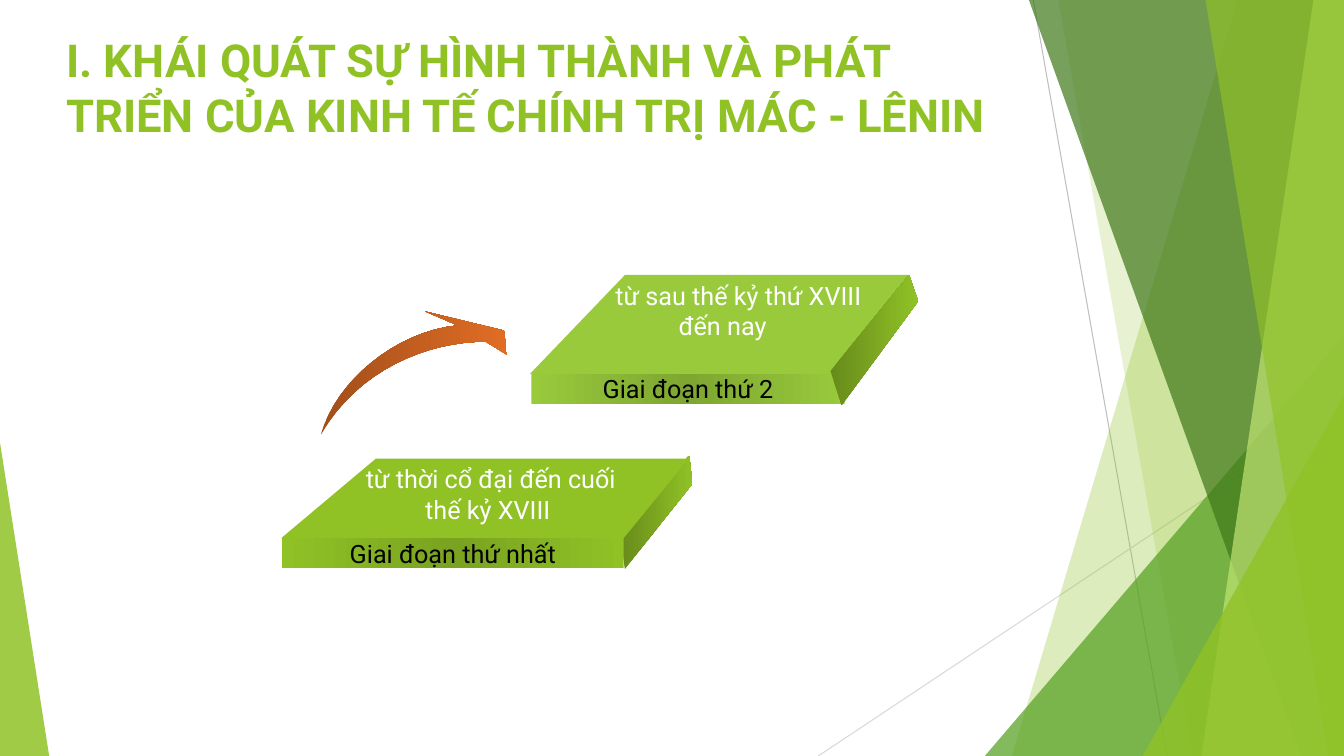
from lxml import etree
from pptx import Presentation
from pptx import util as u
from pptx.dml.color import RGBColor
from pptx.enum import shapes, text
from pptx.oxml.ns import qn

WIDTH, HEIGHT = 33.87, 19.05  # cm

GREEN = RGBColor(0x90, 0xC2, 0x26)
LIGHT_GREEN = RGBColor(0x99, 0xCA, 0x3C)
PALE_GREEN = RGBColor(0xC0, 0xE4, 0x74)
MID_GREEN = RGBColor(0x54, 0xA0, 0x21)
DARK_GREEN = RGBColor(0x3F, 0x78, 0x19)
OLIVE = RGBColor(0x67, 0x8B, 0x1B)
FRONT_SHADE_1 = RGBColor(0x79, 0xA3, 0x20)
FRONT_SHADE_2 = RGBColor(0x7E, 0xA6, 0x31)
BROWN = RGBColor(0xA1, 0x4E, 0x1A)
ORANGE = RGBColor(0xE1, 0x6D, 0x25)
GRAY = RGBColor(0xBF, 0xBF, 0xBF)
LIGHT_GRAY = RGBColor(0xD9, 0xD9, 0xD9)
WHITE = RGBColor(0xFF, 0xFF, 0xFF)
BLACK = RGBColor(0, 0, 0)

TOP = text.MSO_ANCHOR.TOP
MIDDLE = text.MSO_ANCHOR.MIDDLE
CENTER = text.PP_ALIGN.CENTER


def bezier(a, b, c, d, steps=16):
    """Points along a cubic curve."""
    points = []
    for i in range(steps + 1):
        t = i / steps
        s = 1 - t
        weights = (s ** 3, 3 * s * s * t, 3 * s * t * t, t ** 3)
        points.append(tuple(sum(w * q[k] for w, q in zip(weights, (a, b, c, d)))
                            for k in (0, 1)))
    return points


class Deck:
    FONT = "Roboto"

    def __init__(self):
        self.prs = Presentation()
        self.prs.slide_width, self.prs.slide_height = u.Cm(WIDTH), u.Cm(HEIGHT)
        self.s = self.prs.slides.add_slide(self.prs.slide_layouts[6])

    def paint(self, sp, colors, alpha=100):
        """Solid fill for one colour, even left-to-right gradient for several."""
        sp.shadow.inherit = False
        sp.line.fill.background()
        if len(colors) == 1:
            sp.fill.solid()
            sp.fill.fore_color.rgb = colors[0]
            if alpha < 100:
                clr = sp._element.spPr.find(".//" + qn("a:srgbClr"))
                etree.SubElement(clr, qn("a:alpha"), val=str(alpha * 1000))
            return sp
        sp.fill.gradient()
        sp.fill.gradient_angle = 0
        stops = sp._element.spPr.find(".//" + qn("a:gsLst"))
        for gs in list(stops):
            stops.remove(gs)
        for i, color in enumerate(colors):
            pos = str(100000 * i // (len(colors) - 1))
            gs = etree.SubElement(stops, qn("a:gs"), pos=pos)
            etree.SubElement(gs, qn("a:srgbClr"), val=str(color))
        return sp

    def polygon(self, points, *colors, alpha=100):
        pts = [(u.Cm(x), u.Cm(y)) for x, y in points]
        builder = self.s.shapes.build_freeform(*pts[0])
        builder.add_line_segments(pts[1:], close=True)
        return self.paint(builder.convert_to_shape(), colors, alpha)

    def shape(self, kind, box, *colors, alpha=100):
        sp = self.s.shapes.add_shape(kind, *(u.Cm(v) for v in box))
        return self.paint(sp, colors, alpha)

    def triangle(self, x, y, width, apex, color, alpha):
        sp = self.shape(shapes.MSO_SHAPE.ISOSCELES_TRIANGLE,
                        (x, y, width, HEIGHT - y), color, alpha=alpha)
        sp.adjustments[0] = apex

    def line(self, start, end, color):
        ends = (u.Cm(v) for v in (*start, *end))
        sp = self.s.shapes.add_connector(shapes.MSO_CONNECTOR.STRAIGHT, *ends)
        sp.line.color.rgb = color
        sp.line.width = u.Pt(0.75)
        etree.SubElement(sp._element.spPr, qn("a:effectLst"))

    def add_text(self, sp, lines, size, color, align=None, anchor=TOP, wrap=True, bold=False):
        """Each line is (text, left indent in cm)."""
        tf = sp.text_frame
        tf.word_wrap, tf.vertical_anchor = wrap, anchor
        style = {"name": self.FONT, "size": u.Pt(size), "bold": bold}
        for i, (words, indent) in enumerate(lines):
            p = tf.add_paragraph() if i else tf.paragraphs[0]
            p.alignment = align
            if indent:
                p._p.get_or_add_pPr().set("marL", str(u.Cm(indent)))
            r = p.add_run()
            r.text = words
            for name, value in style.items():
                setattr(r.font, name, value)
            r.font.color.rgb = color

    def title(self, box, words):
        sp = self.s.shapes.add_textbox(*(u.Cm(v) for v in box))
        self.add_text(sp, [(words, 0)], 32.4, GREEN, bold=True)

    def top_face(self, points, color, lines):
        self.add_text(self.polygon(points, color), lines, 18, WHITE, CENTER)

    def front_face(self, box, color, shade, label):
        sp = self.shape(shapes.MSO_SHAPE.RECTANGLE, box, color, shade, color)
        self.add_text(sp, [(label, 0)], 18, BLACK, CENTER, MIDDLE, wrap=False)

    def side_face(self, points):
        self.polygon(points, OLIVE, GREEN)


def main():
    deck = Deck()

    # Background lines and green panels
    deck.line((26.04, 0), (29.41, HEIGHT), GRAY)
    deck.line((WIDTH, 10.24), (20.62, HEIGHT), LIGHT_GRAY)

    def panel(top_x, bottom_x, color, alpha):
        deck.polygon([(top_x, 0), (WIDTH, 0), (WIDTH, HEIGHT), (bottom_x, HEIGHT)],
                     color, alpha=alpha)

    panel(31.19, 25.5, GREEN, 30)
    panel(26.67, 30.05, GREEN, 20)
    deck.triangle(24.82, 8.46, 9.05, 1, MID_GREEN, 72)
    panel(25.93, 32.79, DARK_GREEN, 70)
    panel(33.1, 30.28, PALE_GREEN, 70)
    panel(30.38, 33.48, GREEN, 65)
    deck.triangle(28.8, 9.98, 5.07, 1, GREEN, 80)
    deck.triangle(0, 11.15, 1.24, 0, GREEN, 85)

    # Title
    deck.title((1.42, 0.69, 23.88, 3.66),
               "I. KHÁI QUÁT SỰ HÌNH THÀNH VÀ PHÁT TRIỂN CỦA KINH TẾ CHÍNH TRỊ MÁC - LÊNIN")

    # Second stage slab
    deck.top_face([(21.26, 9.42), (13.36, 9.42), (15.75, 6.93), (22.91, 6.93)], LIGHT_GREEN,
                  [("từ sau thế kỷ thứ XVIII", 0.95), ("đến nay", 0.15)])
    deck.front_face((13.39, 9.42, 7.9, 0.76), LIGHT_GREEN, FRONT_SHADE_2, "Giai đoạn thứ 2")
    deck.side_face([(23.14, 7.59), (21.21, 10.21), (20.93, 9.35), (22.91, 6.93)])

    # First stage slab
    deck.side_face([(17.45, 12.19), (15.75, 14.33), (15.62, 13.41), (17.37, 11.48)])
    deck.top_face([(15.72, 13.56), (7.09, 13.56), (9.47, 11.56), (17.35, 11.56)], GREEN,
                  [("từ thời cổ đại đến cuối", 0.3), ("thế kỷ XVIII", 0.15)])
    deck.front_face((7.11, 13.56, 8.61, 0.76), GREEN, FRONT_SHADE_1, "Giai đoạn thứ nhất")

    # Curved arrow from the first stage to the second
    tail = (8.08, 10.97)
    outer = bezier(tail, (8.46, 9.6), (9.98, 8.36), (11.53, 8.2))
    head = [(10.72, 7.85), (12.7, 8.33), (12.78, 8.94)]
    inner = bezier((12.24, 8.61), (10.8, 8.61), (9.02, 9.3), tail)
    deck.polygon(outer + head + inner[:-1], BROWN, ORANGE)

    deck.prs.save("out.pptx")


if __name__ == "__main__":
    main()
